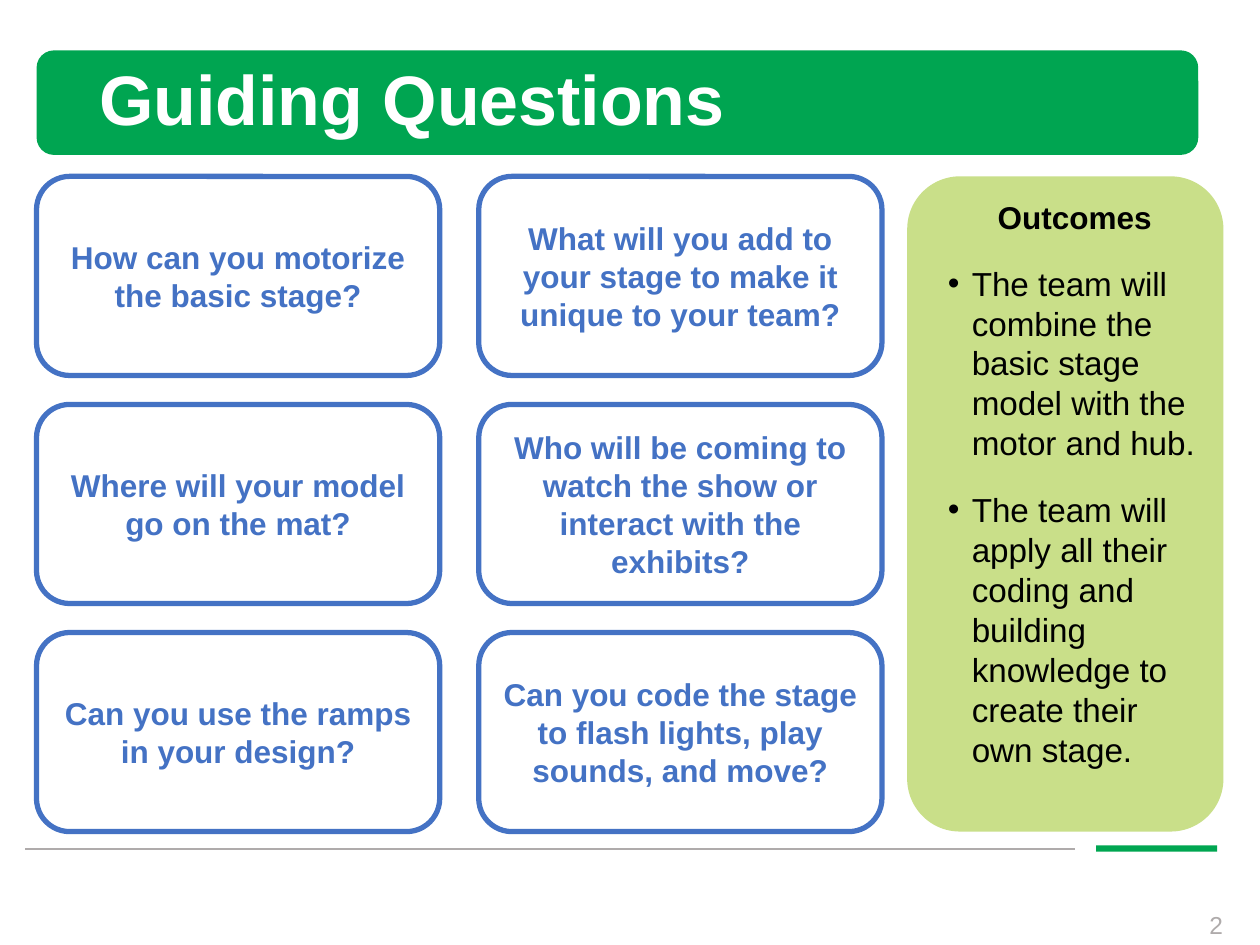
from dataclasses import dataclass

from lxml.etree import SubElement
from pptx import Presentation
from pptx.dml.color import RGBColor
from pptx.enum.shapes import MSO_CONNECTOR, MSO_SHAPE
from pptx.enum.text import MSO_ANCHOR, PP_ALIGN
from pptx.oxml.ns import qn
from pptx.util import Inches, Pt


@dataclass(frozen=True)
class Theme:
    font: str = "Arial"
    banner: str = "00A551"
    accent: str = "00A651"
    gray: str = "AFABAB"
    blue: str = "4472C4"
    lime: str = "C9DF89"
    white: str = "FFFFFF"
    black: str = "000000"
    title_size: int = 40
    question_size: int = 18
    heading_size: int = 18
    outcome_size: int = 19
    number_size: int = 14


THEME = Theme()

QUESTIONS = [
    ["How can you motorize the basic stage?",
     "What will you add to your stage to make it unique to your team?"],
    ["Where will your model go on the mat?",
     "Who will be coming to watch the show or interact with the exhibits?"],
    ["Can you use the ramps in your design?",
     "Can you code the stage to flash lights, play sounds, and move?"],
]
OUTCOMES = [
    "The team will combine the basic stage model with the motor and hub.",
    "The team will apply all their coding and building knowledge to create their own stage.",
]


def rgb(color):
    return RGBColor.from_string(color)


def format_paragraph(paragraph, size, color, bold=False, align=PP_ALIGN.LEFT):
    paragraph.alignment = align
    for run in paragraph.runs:
        run.font.name = THEME.font
        run.font.size = Pt(size)
        run.font.bold = bold
        run.font.color.rgb = rgb(color)


def add_panel(slide, kind, left, top, width, height, fill, outline=None):
    panel = slide.shapes.add_shape(
        kind, Inches(left), Inches(top), Inches(width), Inches(height))
    panel.shadow.inherit = False
    panel.fill.solid()
    panel.fill.fore_color.rgb = rgb(fill)
    if outline:
        panel.line.color.rgb = rgb(outline)
        panel.line.width = Pt(3)
    else:
        panel.line.fill.background()
    return panel


def add_label(slide, text, left, top, width, height, size, color, bold=False):
    label = slide.shapes.add_textbox(
        Inches(left), Inches(top), Inches(width), Inches(height))
    frame = label.text_frame
    frame.word_wrap = True
    frame.text = text
    format_paragraph(frame.paragraphs[0], size, color, bold)
    return frame


def add_title(slide):
    add_panel(slide, MSO_SHAPE.ROUNDED_RECTANGLE, 0.29, 0.4, 9.22, 0.83, THEME.banner)
    title = add_label(slide, "Guiding Questions", 0.69, 0.4, 8.62, 0.83,
                      THEME.title_size, THEME.white, bold=True)
    title.vertical_anchor = MSO_ANCHOR.MIDDLE
    title.paragraphs[0].line_spacing = 0.9


def add_question(slide, text, left, top):
    card = add_panel(slide, MSO_SHAPE.ROUNDED_RECTANGLE, left, top, 3.2, 1.58,
                     THEME.white, THEME.blue)
    frame = card.text_frame
    frame.word_wrap = True
    frame.vertical_anchor = MSO_ANCHOR.MIDDLE
    frame.text = text
    format_paragraph(frame.paragraphs[0], THEME.question_size, THEME.blue,
                     bold=True, align=PP_ALIGN.CENTER)


def add_bullet(paragraph):
    properties = paragraph._p.get_or_add_pPr()
    properties.set("marL", str(Inches(0.19)))
    properties.set("indent", str(Inches(-0.19)))
    SubElement(properties, qn("a:buFont")).set("typeface", THEME.font)
    SubElement(properties, qn("a:buChar")).set("char", "•")


def add_outcomes(slide):
    outcomes = add_panel(slide, MSO_SHAPE.ROUNDED_RECTANGLE, 7.2, 1.4, 2.51, 5.2, THEME.lime)
    frame = outcomes.text_frame
    frame.word_wrap = True
    frame.vertical_anchor = MSO_ANCHOR.TOP
    frame.margin_left, frame.margin_top = Inches(0.2), Inches(0.05)
    frame.margin_right, frame.margin_bottom = Inches(0.05), Inches(0.1)
    frame.text = "Outcomes"
    heading = frame.paragraphs[0]
    heading.space_after = Pt(15.5)
    format_paragraph(heading, THEME.heading_size, THEME.black,
                     bold=True, align=PP_ALIGN.CENTER)
    for text in OUTCOMES:
        outcome = frame.add_paragraph()
        outcome.text = text
        outcome.space_after = Pt(15.5)
        format_paragraph(outcome, THEME.outcome_size, THEME.black)
        add_bullet(outcome)


def add_footer(slide):
    add_panel(slide, MSO_SHAPE.RECTANGLE, 8.7, 6.71, 0.96, 0.05, THEME.accent)
    rule = slide.shapes.add_connector(
        MSO_CONNECTOR.STRAIGHT, Inches(0.2), Inches(6.74), Inches(8.53), Inches(6.74))
    rule.line.color.rgb = rgb(THEME.gray)
    rule.line.width = Pt(1)
    SubElement(rule._element.spPr, qn("a:effectLst"))
    add_label(slide, "2", 9.5, 7.17, 0.39, 0.23, THEME.number_size, THEME.gray)


def main():
    deck = Presentation()
    deck.slide_width, deck.slide_height = Inches(10), Inches(7.5)
    slide = deck.slides.add_slide(deck.slide_layouts[6])
    add_footer(slide)
    add_title(slide)
    add_outcomes(slide)
    for row, questions in enumerate(QUESTIONS):
        for column, question in enumerate(questions):
            add_question(slide, question, 0.29 + column * 3.51, 1.4 + row * 1.81)
    deck.save("out.pptx")


if __name__ == "__main__":
    main()
